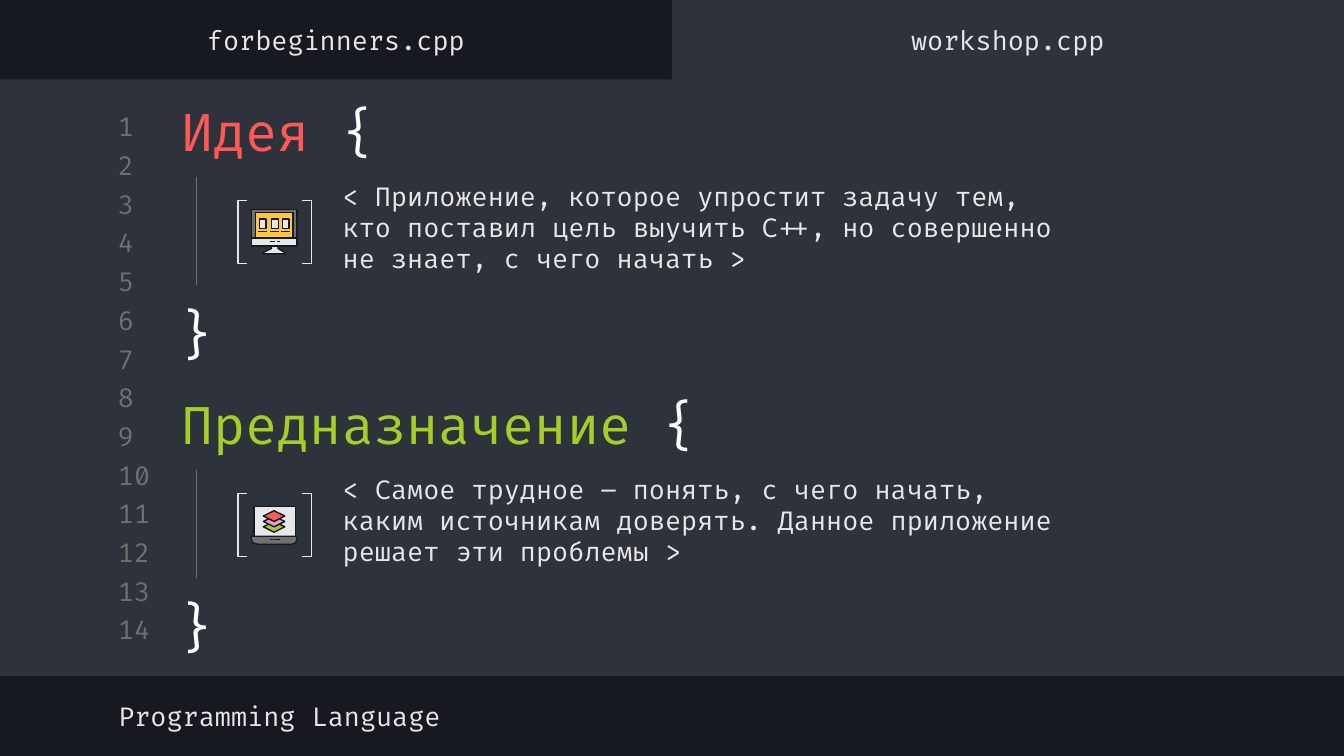
from lxml import etree
from pptx import Presentation
from pptx import util as u
from pptx.dml.color import RGBColor
from pptx.enum import shapes, text
from pptx.oxml.ns import qn

PX = 9144  # EMU per px, 100 px to the inch
FONT = "Fira Code"
COLORS = {
    "dark": "16191F", "panel": "2E323B", "grey": "707070", "light": "E7E7E7",
    "white": "FFFFFF", "red": "FF5858", "green": "A5CF27",
    "yellow": "FCC642", "plum": "DBA0DB",
}

# Content
TABS = ["forbeginners.сpp", "workshop.cpp"]
FOOTER = "Programming Language"
LINE_COUNT = 14
PANELS = [(0, 59, 1000, 444), (500, 0, 500, 65)]


def box(left, top, width, height):
    return [(left, top), (left + width, top),
            (left + width, top + height), (left, top + height)]


def diamond(middle):
    return [(9, middle), (17, middle - 4), (25, middle), (17, middle + 4)]


# Icons: (colour, outline points) from back to front
MONITOR = [
    ("grey", box(0, 1, 34, 21)),
    ("yellow", box(3, 3, 28, 19)),
    ("light", [(15, 28), (20, 28), (20, 30), (25, 33), (25, 34),
               (9, 34), (9, 33), (15, 30)]),
    ("light", box(0, 22, 34, 6)),
    *[("light", box(x, 8, 5, 7)) for x in (6, 15, 23)],
    *[("dark", box(x, 17, 7, 1)) for x in (5, 14, 22)],
    ("dark", box(14, 24, 4, 1)),
    ("dark", box(19, 24, 2, 1)),
]
LAPTOP = [
    ("light", box(2, 4, 31, 22)),
    ("grey", [(0, 26), (34, 26), (34, 28), (33, 31), (30, 32),
              (5, 32), (1, 31), (0, 28)]),
    ("green", diamond(19)),
    ("plum", diamond(15)),
    ("red", diamond(11)),
    ("dark", box(14, 28, 2, 1)),
    ("dark", box(17, 28, 4, 1)),
]
# Blocks: heading, colour, description, icon, heading and description placeholders
BLOCKS = [
    ("Идея", "red", "< Приложение, которое упростит задачу тем, кто поставил цель "
     "выучить С++, но совершенно не знает, с чего начать >", MONITOR, 0, 2),
    ("Предназначение", "green", "< Самое трудное – понять, с чего начать, каким источникам "
     "доверять. Данное приложение решает эти проблемы >", LAPTOP, 1, 4),
]
FOOTER_SLOT = 3
BLOCK_TOP, BLOCK_STEP = 68, 218


def px(*lengths):
    return [u.Emu(round(length * PX)) for length in lengths]


def rgb(name):
    return RGBColor.from_string(COLORS[name])


def fill(shape, color, outline=None):
    shape.shadow.inherit = False
    shape.fill.solid()
    shape.fill.fore_color.rgb = rgb(color)
    if outline:
        shape.line.color.rgb = rgb(outline)
        shape.line.width = u.Pt(0.75)
    else:
        shape.line.fill.background()


def write(shape, area, runs, size=14, align=text.PP_ALIGN.LEFT,
          anchor=text.MSO_ANCHOR.MIDDLE):
    """Place a text shape and fill it with (wording, colour) runs."""
    shape.left, shape.top, shape.width, shape.height = px(*area)
    frame = shape.text_frame
    frame.word_wrap = True
    frame.auto_size = text.MSO_AUTO_SIZE.NONE
    frame.vertical_anchor = anchor
    frame.margin_left = frame.margin_right = u.Inches(0.1)
    frame.margin_top = frame.margin_bottom = u.Inches(0.1)
    paragraph = frame.paragraphs[0]
    paragraph.alignment = align
    paragraph.space_before = u.Pt(0)
    for wording, color in runs:
        run = paragraph.add_run()
        run.text = wording
        run.font.name, run.font.size, run.font.bold = FONT, u.Pt(size), False
        run.font.color.rgb = rgb(color)
    if shape.is_placeholder:
        properties = paragraph._p.get_or_add_pPr()
        properties.set("marL", "0")
        properties.set("indent", "0")
        etree.SubElement(properties, qn("a:buNone"))


def add_text(area, *args, **options):
    write(slide.shapes.add_textbox(*px(*area)), area, *args, **options)


def draw_icon(parts, left, top):
    for color, points in parts:
        builder = slide.shapes.build_freeform(*points[0], scale=PX)
        builder.add_line_segments(points[1:], close=True)
        fill(builder.convert_to_shape(*px(left, top)), color,
             None if color == "dark" else "dark")


prs = Presentation()
prs.slide_width = u.Inches(10)
prs.slide_height = prs.slide_width * 9 // 16
slide = prs.slides.add_slide(prs.slide_layouts[4])
slots = {slot.placeholder_format.idx: slot for slot in slide.placeholders}

# Editor background, with the panels behind all text
slide.background.fill.solid()
slide.background.fill.fore_color.rgb = rgb("dark")
for area in PANELS:
    panel = slide.shapes.add_shape(shapes.MSO_SHAPE.RECTANGLE, *px(*area))
    fill(panel, "panel")
    panel.element.getparent().insert(2, panel.element)

# Line numbers
for index in range(LINE_COUNT):
    add_text((78, 82 + 28.8 * index, 47, 24), [(str(index + 1), "grey")])

# Code blocks
for index, (heading, color, description, icon, head_slot, body_slot) in enumerate(BLOCKS):
    top = BLOCK_TOP + index * BLOCK_STEP
    write(slots[head_slot], (125, top, 444, 58),
          [(heading + " ", color), ("{", "white")], size=28)
    write(slots[body_slot], (245, top + 58, 562, 86), [(description, "light")])
    draw_icon(icon, 187, top + 87)

    for kind, left in ((shapes.MSO_SHAPE.LEFT_BRACKET, 177),
                       (shapes.MSO_SHAPE.RIGHT_BRACKET, 225)):
        bracket = slide.shapes.add_shape(kind, *px(left, top + 81, 7, 47))
        bracket.adjustments[0] = 0
        fill(bracket, "panel", "light")
        bracket.fill.background()

    rail = slide.shapes.add_connector(
        shapes.MSO_CONNECTOR.STRAIGHT, *px(146, top + 64, 146, top + 144))
    rail.line.color.rgb = rgb("grey")
    rail.line.width = u.Pt(0.75)
    etree.SubElement(rail.element.spPr, qn("a:effectLst"))
    add_text((119, top + 146, 55, 67), [("}", "white")], size=28,
             align=text.PP_ALIGN.CENTER, anchor=text.MSO_ANCHOR.TOP)

# Tabs and footer
for index, tab in enumerate(TABS):
    add_text((500 * index, 10, 500, 39), [(tab, "light")], align=text.PP_ALIGN.CENTER)
write(slots[FOOTER_SLOT], (78, 513, 532, 39), [(FOOTER, "light")])

prs.save("out.pptx")
